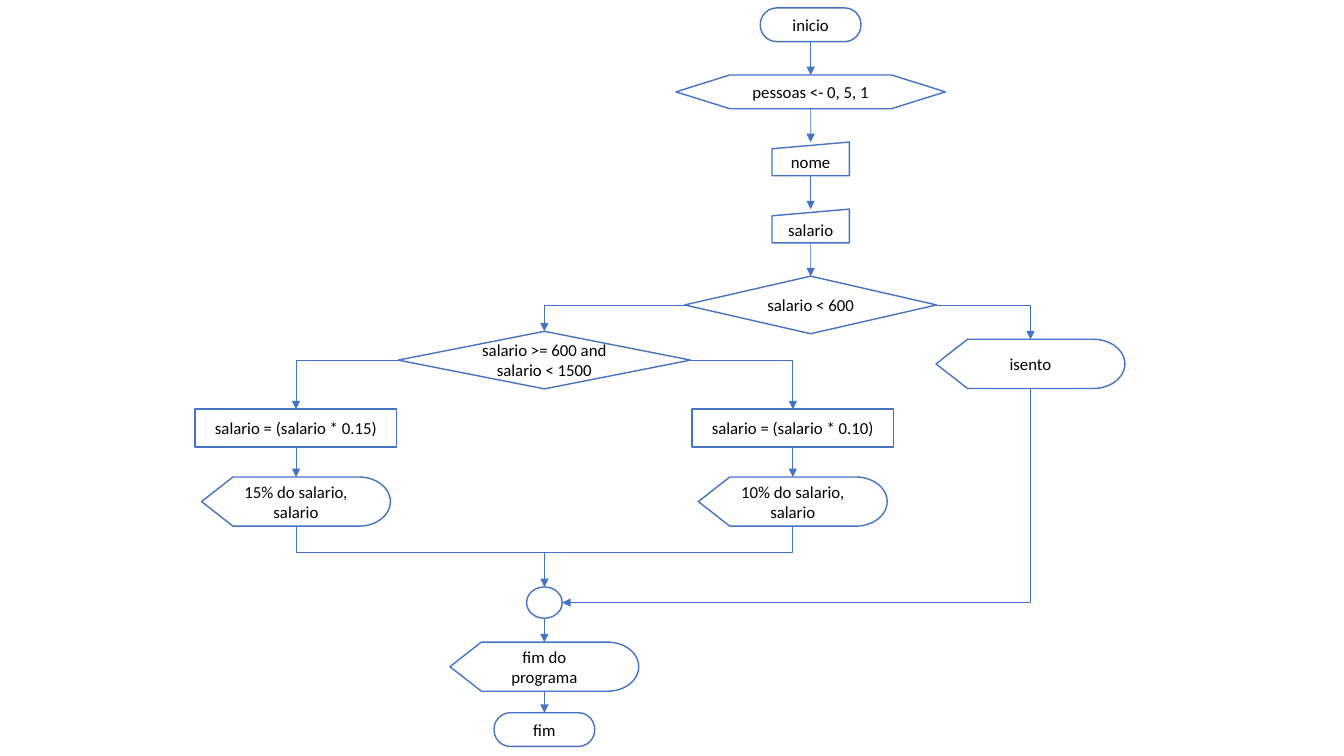
"""Build a salary tax flowchart on one slide."""
from dataclasses import dataclass

from lxml import etree
from pptx import Presentation
from pptx.dml.color import RGBColor
from pptx.enum.shapes import MSO_CONNECTOR, MSO_SHAPE
from pptx.enum.text import MSO_ANCHOR, PP_ALIGN
from pptx.oxml.ns import qn
from pptx.util import Cm, Pt

TERMINATOR = MSO_SHAPE.FLOWCHART_TERMINATOR
PREPARATION = MSO_SHAPE.FLOWCHART_PREPARATION
INPUT = MSO_SHAPE.FLOWCHART_MANUAL_INPUT
DECISION = MSO_SHAPE.FLOWCHART_DECISION
PROCESS = MSO_SHAPE.FLOWCHART_PROCESS
DISPLAY = MSO_SHAPE.FLOWCHART_DISPLAY
JOIN = MSO_SHAPE.FLOWCHART_CONNECTOR
STRAIGHT = MSO_CONNECTOR.STRAIGHT
ELBOW = MSO_CONNECTOR.ELBOW
MIDDLE = MSO_ANCHOR.MIDDLE
CENTER = PP_ALIGN.CENTER
TOP, LEFT, BOTTOM, RIGHT = range(4)


@dataclass(frozen=True)
class Theme:
    font: str = "Calibri"
    size: Pt = Pt(12)
    text: RGBColor = RGBColor(0x00, 0x00, 0x00)
    fill: RGBColor = RGBColor(0xFF, 0xFF, 0xFF)
    line: RGBColor = RGBColor(0x44, 0x72, 0xC4)
    outline: Pt = Pt(1)
    flow: Pt = Pt(0.5)


class Flowchart:
    def __init__(self, slide, theme):
        self.slide = slide
        self.theme = theme

    def node(self, kind, center, top, width, height, text=""):
        t = self.theme
        sp = self.slide.shapes.add_shape(
            kind, Cm(center - width / 2), Cm(top), Cm(width), Cm(height))
        sp.shadow.inherit = False
        sp.fill.solid()
        sp.fill.fore_color.rgb = t.fill
        sp.line.color.rgb = t.line
        sp.line.width = t.outline
        tf = sp.text_frame
        tf.word_wrap = True
        tf.vertical_anchor = MIDDLE
        p = tf.paragraphs[0]
        p.text = text
        p.alignment = CENTER
        p.font.name = t.font
        p.font.size = t.size
        p.font.color.rgb = t.text
        return sp

    def connector(self, kind, x1, y1, x2, y2, arrow):
        c = self.slide.shapes.add_connector(kind, x1, y1, x2, y2)
        c.line.color.rgb = self.theme.line
        c.line.width = self.theme.flow
        props = c._element.spPr
        if arrow:
            etree.SubElement(props.find(qn("a:ln")), qn(arrow), type="triangle")
        etree.SubElement(props, qn("a:effectLst"))
        return c

    def down(self, *nodes):
        for a, b in zip(nodes, nodes[1:]):
            c = self.connector(STRAIGHT, 0, 0, 0, 0, "a:tailEnd")
            c.begin_connect(a, BOTTOM)
            c.end_connect(b, TOP)

    def elbow(self, x, y, node, site, arrow=None):
        """Run sideways from a point, then up or down to a node."""
        y2 = node.top + (node.height if site == BOTTOM else 0)
        c = self.connector(ELBOW, x, y, node.left + node.width // 2, y2, arrow)
        c._element.spPr.find(qn("a:prstGeom")).set("prst", "bentConnector2")
        c.end_connect(node, site)
        return c

    def branch(self, decision, site, node):
        x = decision.left + (decision.width if site == RIGHT else 0)
        y = decision.top + decision.height // 2
        self.elbow(x, y, node, TOP, "a:tailEnd").begin_connect(decision, site)


prs = Presentation()
prs.slide_width, prs.slide_height = Cm(33.87), Cm(19.05)
s = prs.slides.add_slide(prs.slide_layouts[6])
chart = Flowchart(s, Theme())

MAIN, MIDDLE_COLUMN, EXEMPT, SPREAD = 20.43, 13.72, 25.97, 6.26
FIRST_TOP, STEP = 0.2, 1.69
MERGE_Y = 13.91
END_SIZE, INPUT_SIZE = (2.54, 0.85), (1.95, 0.85)
PROCESS_SIZE, DISPLAY_SIZE = (5.08, 0.95), (4.76, 1.24)

steps = [
    (TERMINATOR, END_SIZE, "inicio"),
    (PREPARATION, (6.79, 0.85), "pessoas <- 0, 5, 1"),
    (INPUT, INPUT_SIZE, "nome"),
    (INPUT, INPUT_SIZE, "salario"),
    (DECISION, (6.35, 1.45), "salario < 600"),
]
main = [chart.node(kind, MAIN, FIRST_TOP + i * STEP, *size, text)
        for i, (kind, size, text) in enumerate(steps)]
chart.down(*main)

bracket = chart.node(DECISION, MIDDLE_COLUMN, 8.35, 7.37, 1.45,
                     "salario >= 600 and salario < 1500")
exempt = chart.node(DISPLAY, EXEMPT, 8.55, *DISPLAY_SIZE, "isento")
chart.branch(main[-1], LEFT, bracket)
chart.branch(main[-1], RIGHT, exempt)

for side, site, rate in ((-1, LEFT, 15), (1, RIGHT, 10)):
    x = MIDDLE_COLUMN + side * SPREAD
    process = chart.node(PROCESS, x, 10.31, *PROCESS_SIZE,
                         f"salario = (salario * 0.{rate})")
    result = chart.node(DISPLAY, x, 12.02, *DISPLAY_SIZE,
                        f"{rate}% do salario, salario")
    chart.branch(bracket, site, process)
    chart.down(process, result)
    chart.elbow(Cm(MIDDLE_COLUMN), Cm(MERGE_Y), result, BOTTOM)

join = chart.node(JOIN, MIDDLE_COLUMN, 14.79, 0.9, 0.79)
message = chart.node(DISPLAY, MIDDLE_COLUMN, 16.18, *DISPLAY_SIZE, "fim do programa")
end = chart.node(TERMINATOR, MIDDLE_COLUMN, 17.96, *END_SIZE, "fim")
chart.elbow(join.left + join.width, join.top + join.height // 2,
            exempt, BOTTOM, "a:headEnd")
center = Cm(MIDDLE_COLUMN)
chart.connector(STRAIGHT, center, Cm(MERGE_Y), center, join.top, "a:tailEnd")
chart.connector(STRAIGHT, center, join.top + join.height, center, message.top, "a:tailEnd")
chart.down(message, end)

prs.save("out.pptx")
